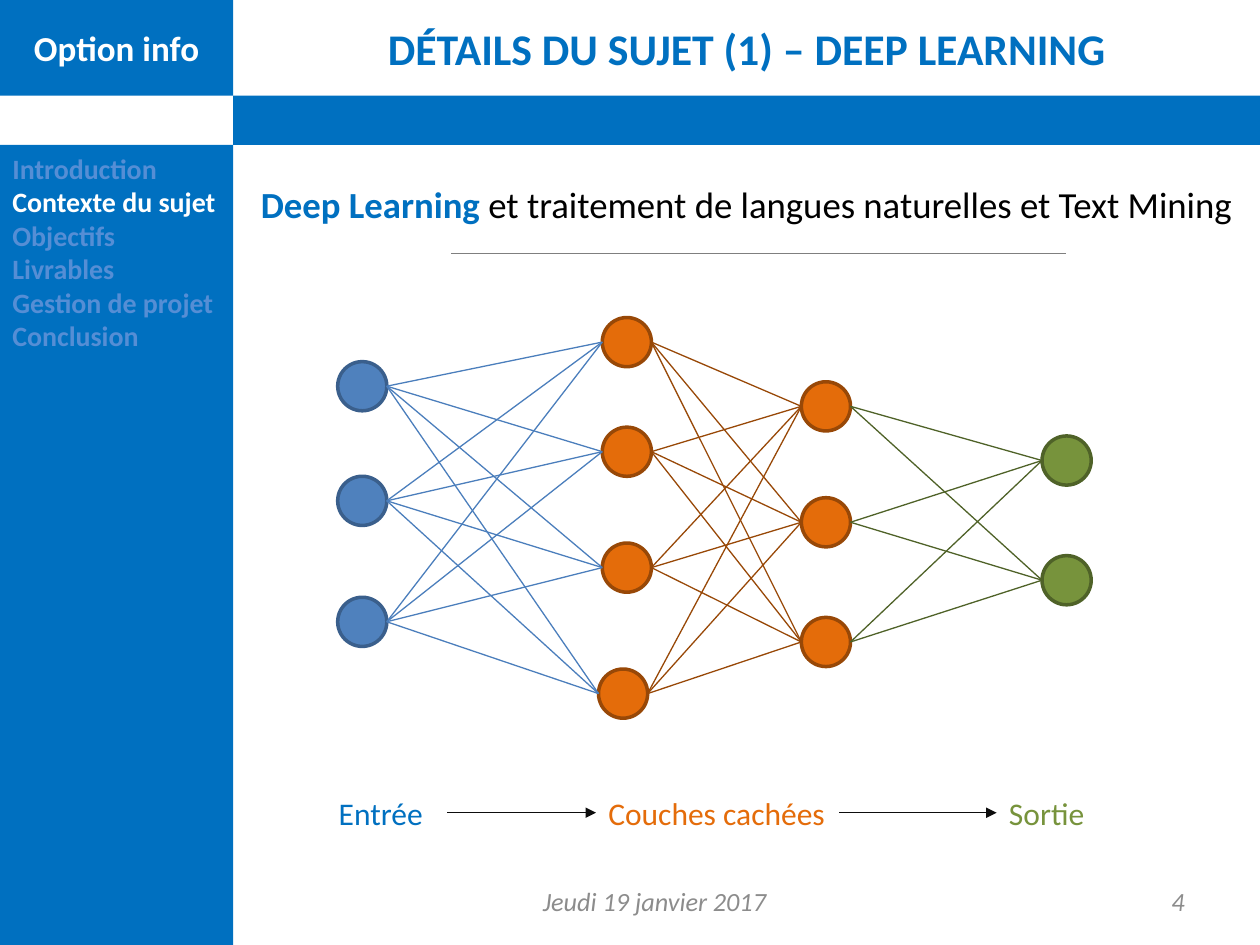
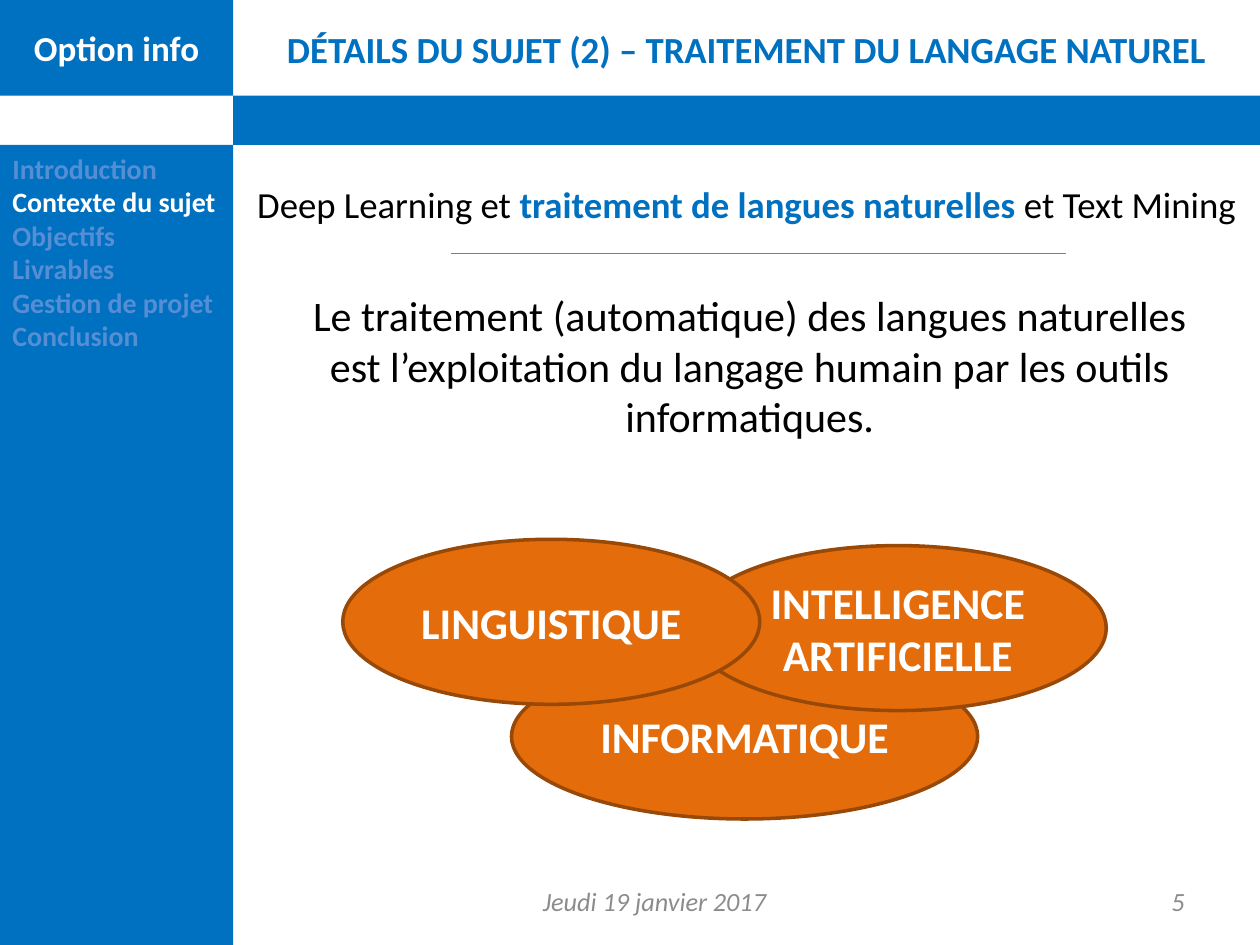
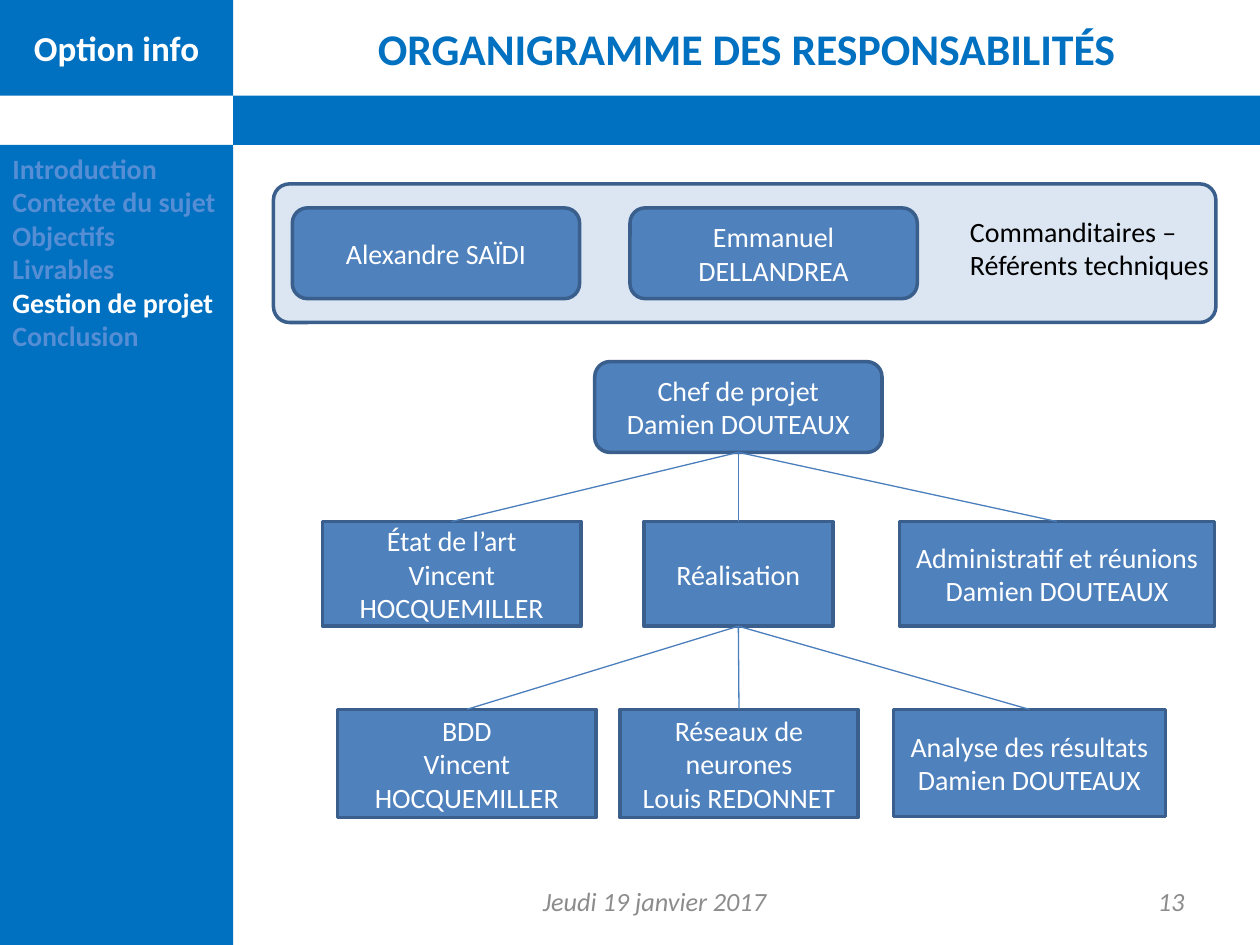
from dataclasses import dataclass
from itertools import product

from lxml.etree import SubElement
from pptx import Presentation
from pptx.dml.color import RGBColor
from pptx.enum.shapes import MSO_CONNECTOR as Connector, MSO_SHAPE as Shape
from pptx.enum.text import MSO_ANCHOR as Anchor, MSO_AUTO_SIZE as AutoSize, PP_ALIGN as Align
from pptx.oxml.ns import qn
from pptx.util import Inches, Pt


@dataclass(frozen=True)
class Theme:
    font: str = "Calibri"
    band: str = "0070C0"
    muted: str = "558ED5"
    white: str = "FFFFFF"
    black: str = "000000"
    footer: str = "8C8C8C"
    rule: str = "7F7F7F"
    arrow: str = "0D0D0D"
    link: str = "4B7EBC"
    blue: tuple = ("4F81BD", "3A5F8C")      # fill, outline
    orange: tuple = ("E46C0A", "984807")
    green: tuple = ("77933C", "4F6228")
    panel: tuple = ("DCE6F2", "3A5F8C")
    title_size: int = 25
    long_title_size: int = 21
    heading_size: int = 21
    body_size: int = 24
    brand_size: int = 20
    label_size: int = 18
    small_size: int = 16
    footer_size: int = 15


T = Theme()

# Content shared by the slides
BRAND = "Option info"
DATE = "Jeudi 19 janvier 2017"
SECTIONS = ["Introduction", "Contexte du sujet", "Objectifs",
            "Livrables", "Gestion de projet", "Conclusion"]
TOPICS = ["Deep Learning", " et ", "traitement de langues naturelles", " et Text Mining"]
BANDS = [(0, 0, 1.85, 0.76), (0, 1.15, 1.85, 6.35), (1.85, 0.76, 8.15, 0.39)]

# Neural network: node positions, node colours, colour of the outgoing links
NODE = 0.39
LAYERS = [
    ([(2.68, 2.87), (2.68, 3.78), (2.68, 4.74)], T.blue, T.link),
    ([(4.78, 2.52), (4.78, 3.39), (4.78, 4.31), (4.75, 5.31)], T.orange, T.orange[1]),
    ([(6.36, 3.03), (6.36, 3.95), (6.36, 4.9)], T.orange, T.green[1]),
    ([(8.27, 3.46), (8.27, 4.41)], T.green, None),
]
# Legend: text, left, width, colour
LEGEND = [("Entrée", 2.59, 0.96, T.band),
          ("Couches cachées", 4.73, 1.93, T.orange[0]),
          ("Sortie", 7.91, 0.87, T.green[0])]
LEGEND_TOP, LEGEND_HEIGHT = 6.25, 0.4

# Language processing
DEFINITION = ("Le traitement (automatique) des langues naturelles est l’exploitation "
              "du langage humain par les outils informatiques.")
FIELDS = [("INFORMATIQUE", (4.06, 5.19, 3.7, 1.31)),
          ("INTELLIGENCE ARTIFICIELLE", (5.47, 4.33, 3.31, 1.31)),
          ("LINGUISTIQUE", (2.72, 4.28, 3.31, 1.31))]

# Organisation chart
PANEL = (2.17, 1.46, 7.48, 1.1)
SPONSOR_ROLE = "Commanditaires – Référents techniques"
SPONSORS = [("Alexandre SAÏDI", 2.32), ("Emmanuel DELLANDREA", 5)]
LEADER = ["Chef de projet", "Damien DOUTEAUX"]
TEAMS = [(["État de l’art", "Vincent HOCQUEMILLER"], (2.56, 4.14, 2.05, 0.83)),
         (["Réalisation"], (5.11, 4.14, 1.5, 0.83)),
         (["Administratif et réunions", "Damien DOUTEAUX"], (7.14, 4.14, 2.5, 0.83))]
TASKS = [(["BDD", "Vincent HOCQUEMILLER"], (2.68, 5.63, 2.05, 0.86)),
         (["Réseaux de neurones", "Louis REDONNET"], (4.92, 5.63, 1.89, 0.86)),
         (["Analyse des résultats", "Damien DOUTEAUX"], (7.09, 5.63, 2.16, 0.85))]


# Drawing helpers
def rgb(value):
    return RGBColor.from_string(value)


def write(tf, paragraphs, align=Align.LEFT, anchor=Anchor.TOP, **base):
    """Each paragraph is a string or a list of (text, format overrides) runs."""
    for name, value in dict(word_wrap=True, auto_size=AutoSize.NONE,
                            vertical_anchor=anchor).items():
        setattr(tf, name, value)
    for i, runs in enumerate(paragraphs):
        p = tf.paragraphs[0] if i == 0 else tf.add_paragraph()
        p.alignment = align
        for text, extra in [(runs, {})] if isinstance(runs, str) else runs:
            r = p.add_run()
            r.text = text
            style = dict(name=T.font, bold=False, italic=False) | base | extra
            r.font.color.rgb = rgb(style.pop("color"))
            style["size"] = Pt(style["size"])
            for name, value in style.items():
                setattr(r.font, name, value)


def add_text(s, box, paragraphs, **style):
    write(s.shapes.add_textbox(*map(Inches, box)).text_frame, paragraphs, **style)


def add_box(s, kind, box, colours, paragraphs=(), **style):
    sp = s.shapes.add_shape(kind, *map(Inches, box))
    sp.shadow.inherit = False
    fill, outline = colours
    sp.fill.solid()
    sp.fill.fore_color.rgb = rgb(fill)
    if outline:
        sp.line.color.rgb = rgb(outline)
        sp.line.width = Pt(2)
    else:
        sp.line.fill.background()
    if paragraphs:
        write(sp.text_frame, paragraphs, align=Align.CENTER, anchor=Anchor.MIDDLE,
              color=T.white, **style)
    return sp


def add_line(s, start, end, color, arrow=False):
    line = s.shapes.add_connector(Connector.STRAIGHT, *map(Inches, (*start, *end)))
    line.line.color.rgb = rgb(color)
    line.line.width = Pt(0.75)
    if arrow:
        SubElement(line.line._get_or_add_ln(), qn("a:tailEnd"), type="triangle")
    SubElement(line._element.spPr, qn("a:effectLst"))
    return line


def link_below(s, parent, children):
    for child in children:
        line = add_line(s, (0, 0), (1, 1), T.link)
        line.begin_connect(parent, 2)
        line.end_connect(child, 0)


# Frame shared by all slides
def add_slide(prs, title, number, section, size=T.title_size, top=0.12, height=0.52):
    s = prs.slides.add_slide(prs.slide_layouts[5])
    for band in BANDS:
        add_box(s, Shape.RECTANGLE, band, (T.band, None))
    heading = s.shapes.title
    for name, value in dict(left=1.85, top=top, width=8.15, height=height).items():
        setattr(heading, name, Inches(value))
    write(heading.text_frame, [title], align=Align.CENTER, size=size, color=T.band, bold=True)
    menu = [[(name, dict(color=T.white if name == section else T.muted))]
            for name in SECTIONS]
    add_text(s, (0, 1.15, 1.85, 1.72), menu, size=T.small_size, bold=True)
    add_text(s, (0, 0.16, 1.85, 0.44), [BRAND], align=Align.CENTER,
             size=T.brand_size, color=T.white, bold=True)
    for text, box, align in [(DATE, (3.42, 6.95, 3.55, 0.4), Align.CENTER),
                             (str(number), (7.17, 6.95, 2.33, 0.4), Align.RIGHT)]:
        add_text(s, box, [text], align=align, anchor=Anchor.MIDDLE,
                 size=T.footer_size, color=T.footer, italic=True)
    return s


def add_topics(s, current):
    runs = [(text, dict(color=T.band, bold=True) if text == current else {})
            for text in TOPICS]
    add_text(s, (1.85, 1.39, 8.15, 0.45), [runs], align=Align.CENTER,
             size=T.heading_size, color=T.black)
    add_line(s, (3.58, 2.01), (8.46, 2.01), T.rule)


# Slides
def network_slide(prs):
    s = add_slide(prs, "DÉTAILS DU SUJET (1) – DEEP LEARNING", 4, SECTIONS[1])
    add_topics(s, TOPICS[0])
    for nodes, colours, _ in LAYERS:
        for x, y in nodes:
            add_box(s, Shape.OVAL, (x, y, NODE, NODE), colours)
    for (sources, _, color), (targets, _, _) in zip(LAYERS, LAYERS[1:]):
        for (x1, y1), (x2, y2) in product(sources, targets):
            add_line(s, (x1 + NODE, y1 + NODE / 2), (x2, y2 + NODE / 2), color)
    for text, left, width, color in LEGEND:
        add_text(s, (left, LEGEND_TOP, width, LEGEND_HEIGHT), [text],
                 size=T.label_size, color=color)
    y = LEGEND_TOP + LEGEND_HEIGHT / 2
    for (_, left, width, _), (_, target, _, _) in zip(LEGEND, LEGEND[1:]):
        add_line(s, (left + width, y), (target, y), T.arrow, arrow=True)


def language_slide(prs):
    s = add_slide(prs, "DÉTAILS DU SUJET (2) – TRAITEMENT DU LANGAGE NATUREL", 5,
                  SECTIONS[1], size=T.long_title_size, top=0.16, height=0.45)
    add_topics(s, TOPICS[2])
    for text, box in FIELDS:
        add_box(s, Shape.OVAL, box, T.orange, [text], size=T.title_size, bold=True)
    add_text(s, (2.24, 2.25, 7.42, 1.31), [DEFINITION], align=Align.CENTER,
             size=T.body_size, color=T.black)


def organisation_slide(prs):
    s = add_slide(prs, "ORGANIGRAMME DES RESPONSABILITÉS", 13, SECTIONS[4])
    panel = add_box(s, Shape.ROUNDED_RECTANGLE, PANEL, T.panel)
    panel.adjustments[0] = 0.115

    def person(left, top, lines):
        return add_box(s, Shape.ROUNDED_RECTANGLE, (left, top, 2.28, 0.72), T.blue,
                       lines, size=T.small_size)

    def row(cells):
        return [add_box(s, Shape.FLOWCHART_PROCESS, box, T.blue, lines, size=T.small_size)
                for lines, box in cells]

    for name, left in SPONSORS:
        person(left, 1.65, [name])
    add_text(s, (7.6, 1.65, 2.4, 0.64), [SPONSOR_ROLE], size=T.small_size, color=T.black)
    leader = person(4.72, 2.87, LEADER)
    teams, tasks = row(TEAMS), row(TASKS)
    link_below(s, leader, teams)
    link_below(s, teams[1], tasks)


def main():
    prs = Presentation()
    prs.slide_width, prs.slide_height = Inches(10), Inches(7.5)
    for build in (network_slide, language_slide, organisation_slide):
        build(prs)
    prs.save("out.pptx")


if __name__ == "__main__":
    main()
